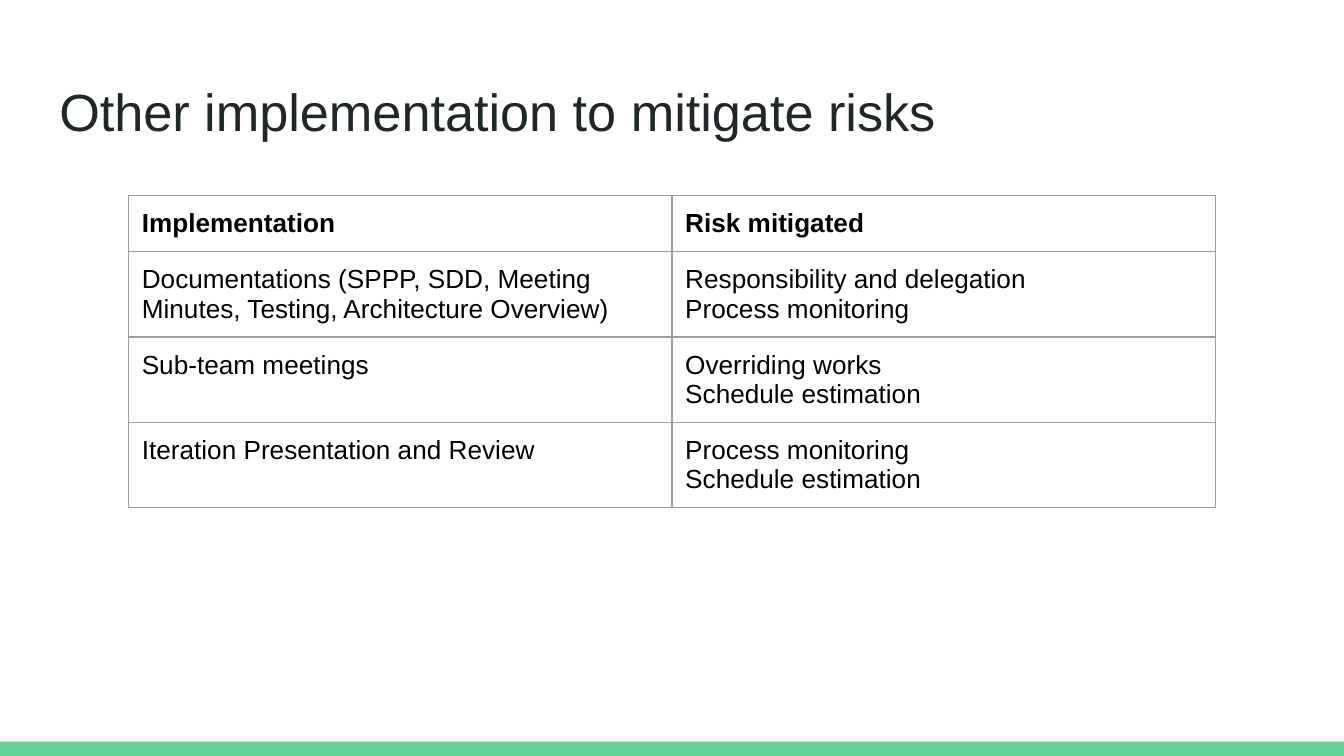
from lxml import etree
from pptx import Presentation
from pptx.dml.color import RGBColor
from pptx.enum.shapes import MSO_SHAPE
from pptx.enum.text import MSO_ANCHOR, PP_ALIGN
from pptx.oxml.ns import qn
from pptx.util import Cm, Pt

RECT = MSO_SHAPE.RECTANGLE
TOP = MSO_ANCHOR.TOP
LEFT = PP_ALIGN.LEFT

TITLE = "Other implementation to mitigate risks"
ROWS = [
    (["Implementation"], ["Risk mitigated"]),
    (["Documentations (SPPP, SDD, Meeting Minutes, Testing, Architecture Overview)"],
     ["Responsibility and delegation", "Process monitoring"]),
    (["Sub-team meetings"], ["Overriding works", "Schedule estimation"]),
    (["Iteration Presentation and Review"], ["Process monitoring", "Schedule estimation"]),
]
FONT = "Arial"
INK, DARK, GREEN, GREY = "000000", "202729", "63D297", "9E9E9E"
WIDE, HIGH, BAR = 25.4, 14.29, 0.27
COL, ROW, PAD = 10.27, 1.06, 0.25


def paint(item, color):
    item.rgb = RGBColor.from_string(color)


def write(frame, lines, size, color, bold=False):
    for i, line in enumerate(lines):
        para = frame.paragraphs[0] if i == 0 else frame.add_paragraph()
        para.alignment = LEFT
        run = para.add_run()
        run.text = line
        font = run.font
        font.name, font.size, font.bold = FONT, Pt(size), bold
        paint(font.color, color)


def pad(item):
    item.margin_left = item.margin_right = Cm(PAD)
    item.margin_top = item.margin_bottom = Cm(PAD)
    item.vertical_anchor = TOP


def edge(cell):
    props = cell._tc.get_or_add_tcPr()
    for i, side in enumerate(("lnL", "lnR", "lnT", "lnB")):
        line = etree.Element(qn("a:" + side), w=str(Pt(0.75)))
        fill = etree.SubElement(line, qn("a:solidFill"))
        etree.SubElement(fill, qn("a:srgbClr"), val=GREY)
        props.insert(i, line)


deck = Presentation()
deck.slide_width, deck.slide_height = Cm(WIDE), Cm(HIGH)
slide = deck.slides.add_slide(deck.slide_layouts[5])

bar = slide.shapes.add_shape(RECT, 0, Cm(HIGH - BAR), Cm(WIDE), Cm(BAR))
bar.shadow.inherit = False
bar.fill.solid()
paint(bar.fill.fore_color, GREEN)
bar.line.fill.background()

title = slide.shapes.title
title.left, title.top, title.width, title.height = Cm(0.87), Cm(1.24), Cm(23.67), Cm(1.6)
pad(title.text_frame)
title.text_frame.word_wrap = True
write(title.text_frame, [TITLE], 28, DARK)

count = len(ROWS[0])
grid = slide.shapes.add_table(
    len(ROWS), count, Cm((WIDE - count * COL) / 2), Cm(3.7),
    Cm(count * COL), Cm(len(ROWS) * ROW)).table
grid.horz_banding = False
for r, row in enumerate(ROWS):
    grid.rows[r].height = Cm(ROW)
    for c, lines in enumerate(row):
        cell = grid.cell(r, c)
        pad(cell)
        cell.fill.background()
        edge(cell)
        write(cell.text_frame, lines, 14, INK, r == 0)

deck.save("out.pptx")
